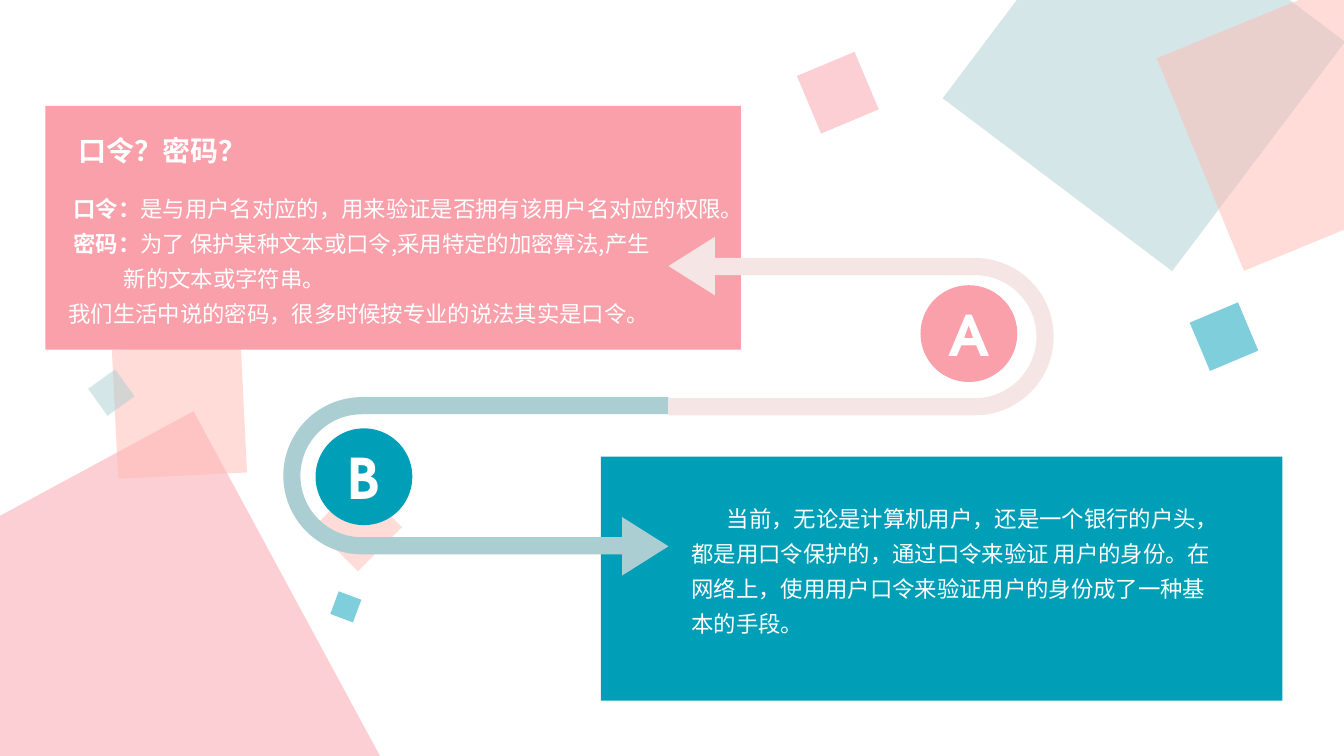
from pptx import Presentation
from pptx.dml.color import RGBColor
from pptx.enum.shapes import MSO_SHAPE
from pptx.enum.text import MSO_ANCHOR, MSO_AUTO_SIZE, PP_ALIGN
from pptx.oxml.ns import qn
from pptx.util import Inches, Pt

PINK = RGBColor(0xFA, 0xA0, 0xAA)
PEACH = RGBColor(0xFF, 0xBB, 0xB3)
TEAL = RGBColor(0x00, 0x9F, 0xB8)
MIST = RGBColor(0xAA, 0xCE, 0xD2)
BLUSH = RGBColor(0xF5, 0xE5, 0xE4)
WHITE = RGBColor(0xFF, 0xFF, 0xFF)

BODY_FONT = "Noto Sans CJK SC"
BADGE_FONT = "TeX Gyre Adventor"

# Left, top, side, rotation, colour
SQUARES = [
    (-0.93, 4.8, 4.06, 331.6, PINK),
    (1.14, 3.44, 1.28, 357.2, PEACH),
    (3.24, 4.92, 0.62, 315, PEACH),
    (0.94, 3.73, 0.33, 324.4, MIST),
    (9.92, -0.73, 2.85, 37, MIST),
    (11.82, 0.06, 2.28, 337.7, PEACH),
    (8, 0.61, 0.62, 337.2, PINK),
    (11.88, 3.08, 0.52, 337.2, TEAL),
    (3.31, 5.9, 0.24, 290.5, TEAL),
]

# Bold lead, text, left indent, first-line indent
DEFINITIONS = [
    ("口令：", "是与用户名对应的，用来验证是否拥有该用户名对应的权限。", 0.05, 0),
    ("密码：", "为了 保护某种文本或口令,采用特定的加密算法,产生", 0.05, 0),
    ("", "新的文本或字符串。", 0.55, 0),
    ("", "我们生活中说的密码，很多时候按专业的说法其实是口令。", 0, 0),
]
USAGE = [
    ("", "当前，无论是计算机用户，还是一个银行的户头，都是用口令保护的，"
     "通过口令来验证 用户的身份。在网络上，使用用户口令来验证用户的身份"
     "成了一种基本的手段。", 0, 0.35),
]


def paint(shape, color):
    shape.shadow.inherit = False
    shape.fill.solid()
    shape.fill.fore_color.rgb = color
    shape.line.fill.background()


def add_block(shapes, kind, left, top, width, height, color):
    shape = shapes.add_shape(kind, Inches(left), Inches(top), Inches(width), Inches(height))
    paint(shape, color)
    return shape


def add_square(slide, left, top, side, rotation, color):
    """Half-transparent tilted square."""
    square = add_block(slide.shapes, MSO_SHAPE.RECTANGLE, left, top, side, side, color)
    square.rotation = rotation
    color_element = square.fill._xPr.find(qn("a:solidFill"))[0]
    color_element.append(color_element.makeelement(qn("a:alpha"), {"val": "50000"}))


def round_corner(segment, start, end, upright_first):
    """Turn a line segment into a quarter circle from start to end."""
    (x0, y0), (x1, y1) = start, end
    pull = 0.5523
    if upright_first:
        controls = [(x0, y0 + pull * (y1 - y0)), (x1 - pull * (x1 - x0), y1)]
    else:
        controls = [(x0 + pull * (x1 - x0), y0), (x1, y1 - pull * (y1 - y0))]
    segment.tag = qn("a:cubicBezTo")
    for index, (x, y) in enumerate(controls):
        position = {"x": str(round(x)), "y": str(round(y))}
        segment.insert(index, segment.makeelement(qn("a:pt"), position))


def add_u_arrow(slide, direction, color):
    """U-turn arrow; direction -1 turns it half round the slide's middle."""
    middle_x, middle_y = 6.63, 4.03
    bend_x, bend_y, outer, inner = -3.04, 0.69, 0.78, 0.61
    axis, head_length, head_half = 1.39, 0.46, 0.29

    def bend(radius):
        return [(bend_x, bend_y - radius), (bend_x - radius, bend_y),
                (bend_x, bend_y + radius)]

    points = [(0, bend_y - outer), *bend(outer),
              (-head_length, bend_y + outer), (-head_length, axis + head_half),
              (0, axis), (-head_length, axis - head_half),
              (-head_length, bend_y + inner), *reversed(bend(inner)),
              (0, bend_y - inner)]
    corners = [(Inches(middle_x + direction * x), Inches(middle_y + direction * y))
               for x, y in points]
    builder = slide.shapes.build_freeform(*corners[0])
    builder.add_line_segments(corners[1:], close=True)
    arrow = builder.convert_to_shape()
    paint(arrow, color)

    # Round both bends: knots 1 to 3 outside, 9 to 11 inside
    segments = list(arrow.element.iter(qn("a:lnTo")))
    local = [(x - arrow.left, y - arrow.top) for x, y in corners]
    for knot in (2, 3, 10, 11):
        round_corner(segments[knot - 1], local[knot - 1], local[knot], knot in (3, 11))


def place(shape, left, top, width, height):
    shape.left, shape.top = Inches(left), Inches(top)
    shape.width, shape.height = Inches(width), Inches(height)


def format_frame(frame, anchor=MSO_ANCHOR.TOP):
    frame.word_wrap = True
    frame.auto_size = MSO_AUTO_SIZE.SHAPE_TO_FIT_TEXT
    frame.vertical_anchor = anchor
    frame.margin_left = frame.margin_right = Inches(0.05)
    frame.margin_top = frame.margin_bottom = Inches(0.05)


def format_paragraph(paragraph, size, name, bold=False, align=PP_ALIGN.LEFT):
    paragraph.alignment = align
    font = paragraph.font
    font.size, font.name, font.bold = Pt(size), name, bold
    font.color.rgb = WHITE
    properties = font._element
    properties.append(properties.makeelement(qn("a:ea"), {"typeface": name}))


def add_badge(slide, left, top, letter, color):
    group = slide.shapes.add_group_shape()
    add_block(group.shapes, MSO_SHAPE.OVAL, left, top, 0.96, 0.96, color)
    box = group.shapes.add_textbox(Inches(left + 0.14), Inches(top + 0.09),
                                   Inches(0.68), Inches(0.78))
    format_frame(box.text_frame, MSO_ANCHOR.MIDDLE)
    paragraph = box.text_frame.paragraphs[0]
    paragraph.text = letter
    format_paragraph(paragraph, 40, BADGE_FONT, True, PP_ALIGN.CENTER)


def add_body(slide, left, top, width, height, rows):
    box = slide.shapes.add_textbox(Inches(left), Inches(top), Inches(width), Inches(height))
    frame = box.text_frame
    format_frame(frame)
    for index, (lead, text, margin, indent) in enumerate(rows):
        paragraph = frame.add_paragraph() if index else frame.paragraphs[0]
        if lead:
            run = paragraph.add_run()
            run.text = lead
            run.font.bold = True
        paragraph.add_run().text = text
        paragraph.line_spacing = 1.3
        format_paragraph(paragraph, 16, BODY_FONT)
        properties = paragraph._p.get_or_add_pPr()
        properties.set("marL", str(Inches(margin)))
        properties.set("indent", str(Inches(indent)))


def set_title(slide, text):
    title = slide.shapes.title
    place(title, 0.73, 1.17, 3.15, 0.54)
    title.text_frame.text = text
    format_frame(title.text_frame)
    paragraph = title.text_frame.paragraphs[0]
    paragraph.line_spacing = 1.3
    format_paragraph(paragraph, 20, BODY_FONT, True)
    # Bring the title in front of its panel
    title.element.getparent().append(title.element)


def main():
    presentation = Presentation()
    presentation.slide_width, presentation.slide_height = Inches(13.33), Inches(7.5)
    slide = presentation.slides.add_slide(presentation.slide_layouts[5])

    # Background squares
    for square in SQUARES:
        add_square(slide, *square)

    # Panels, each with its arrow
    add_block(slide.shapes, MSO_SHAPE.RECTANGLE, 5.96, 4.53, 6.76, 2.42, TEAL)
    add_u_arrow(slide, 1, MIST)
    add_block(slide.shapes, MSO_SHAPE.RECTANGLE, 0.45, 1.05, 6.9, 2.42, PINK)
    add_u_arrow(slide, -1, BLUSH)

    # Letter badges
    add_badge(slide, 9.13, 2.83, "A", PINK)
    add_badge(slide, 3.13, 4.25, "B", TEAL)

    # Texts
    add_body(slide, 0.63, 1.81, 6.9, 1.5, DEFINITIONS)
    set_title(slide, "口令？密码？")
    add_body(slide, 6.81, 4.88, 5.38, 1.5, USAGE)

    presentation.save("out.pptx")


if __name__ == "__main__":
    main()
